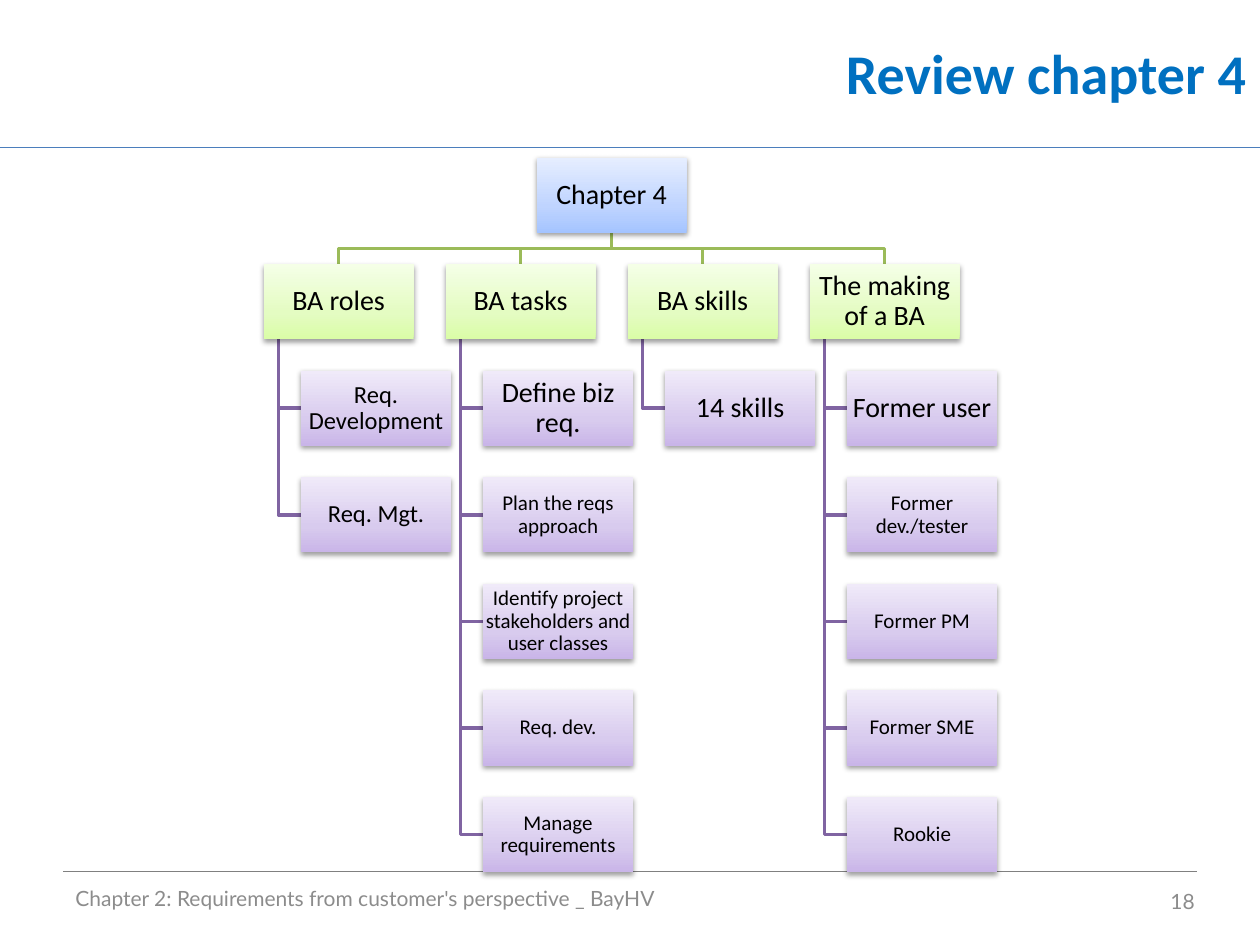
import copy
from dataclasses import dataclass

import lxml.etree
import pptx
import pptx.dml.color
import pptx.enum.shapes
import pptx.enum.text
import pptx.oxml.ns
import pptx.util

Pt = pptx.util.Pt
qn = pptx.oxml.ns.qn
ALIGN = pptx.enum.text.PP_ALIGN
MIDDLE = pptx.enum.text.MSO_ANCHOR.MIDDLE

# Lengths in points
BOX_W, BOX_H = 85.8, 43
COLUMN_STEP, ROW_STEP = 104, 60.9
TREE_LEFT, TREE_TOP = 150.6, 90
TRUNK_INSET, CHILD_INDENT = 8.6, 21.4

# Gradient colours from bottom to top
STOPS = (0, 0.35, 1)
BLUE = ("A4C4FF", "BFD4FF", "E6EEFF")
GREEN = ("DAFDA7", "E4FCC2", "F5FFE7")
PURPLE = ("C9B5E8", "D8CBEE", "F0EAF9")
GREEN_LINE, PURPLE_LINE = "9BBB59", "8064A2"


@dataclass
class Topic:
    label: str
    size: int = 16


@dataclass
class Branch:
    heading: Topic
    children: list[Topic]


BRANCHES = [
    Branch(Topic("BA roles"), [Topic("Req. Development", 14), Topic("Req. Mgt.", 14)]),
    Branch(Topic("BA tasks"), [
        Topic("Define biz req."),
        Topic("Plan the reqs approach", 12),
        Topic("Identify project stakeholders and user classes", 12),
        Topic("Req. dev.", 12),
        Topic("Manage requirements", 12),
    ]),
    Branch(Topic("BA skills"), [Topic("14 skills")]),
    Branch(Topic("The making of a BA"), [
        Topic("Former user"),
        Topic("Former dev./tester", 12),
        Topic("Former PM", 12),
        Topic("Former SME", 12),
        Topic("Rookie", 12),
    ]),
]


def rgb(value: str) -> pptx.dml.color.RGBColor:
    return pptx.dml.color.RGBColor.from_string(value)


def write(shape, text: str, size: float, font: str, color: str, align, bold: bool = False) -> None:
    frame = shape.text_frame
    frame.text = text
    frame.word_wrap = True
    frame.vertical_anchor = MIDDLE
    paragraph = frame.paragraphs[0]
    paragraph.alignment = align
    run_font = paragraph.runs[0].font
    run_font.size, run_font.name, run_font.bold = Pt(size), font, bold
    run_font.color.rgb = rgb(color)


def add_text(slide, left: float, top: float, width: float, height: float,
             text: str, size: float, font: str, color: str, align, bold: bool = False) -> None:
    box = slide.shapes.add_textbox(Pt(left), Pt(top), Pt(width), Pt(height))
    write(box, text, size, font, color, align, bold)


def add_rule(slide, left: float, right: float, y: float, color: str) -> None:
    rule = slide.shapes.add_connector(
        pptx.enum.shapes.MSO_CONNECTOR.STRAIGHT, Pt(left), Pt(y), Pt(right), Pt(y))
    rule.line.color.rgb = rgb(color)
    rule.line.width = Pt(0.75)
    lxml.etree.SubElement(rule._element.spPr, qn("a:effectLst"))


def add_elbow(slide, points: list[tuple[float, float]], color: str) -> None:
    start, *rest = [(Pt(x), Pt(y)) for x, y in points]
    builder = slide.shapes.build_freeform(*start)
    builder.add_line_segments(rest, close=False)
    elbow = builder.convert_to_shape()
    elbow.fill.background()
    elbow.line.color.rgb = rgb(color)
    elbow.line.width = Pt(2)
    elbow.shadow.inherit = False


def add_soft_shadow(shape) -> None:
    shape.shadow.inherit = False
    effects = shape._element.spPr.find(qn("a:effectLst"))
    shadow = lxml.etree.SubElement(
        effects, qn("a:outerShdw"), blurRad=str(Pt(3.1)), dist=str(Pt(1.6)),
        dir="5400000", rotWithShape="0")
    black = lxml.etree.SubElement(shadow, qn("a:srgbClr"), val="000000")
    lxml.etree.SubElement(black, qn("a:alpha"), val="38000")


def add_topic(slide, topic: Topic, left: float, top: float, colors: tuple[str, ...]) -> None:
    box = slide.shapes.add_shape(
        pptx.enum.shapes.MSO_SHAPE.RECTANGLE, Pt(left), Pt(top), Pt(BOX_W), Pt(BOX_H))
    box.line.fill.background()
    box.fill.gradient()
    box.fill.gradient_angle = 90
    stop_list = box._element.spPr.find(".//" + qn("a:gsLst"))
    stop_list.append(copy.deepcopy(stop_list[-1]))
    for stop, position, color in zip(box.fill.gradient_stops, STOPS, colors):
        stop.position = position
        stop.color.rgb = rgb(color)
    add_soft_shadow(box)
    write(box, topic.label, topic.size, "Calibri", "000000", ALIGN.CENTER)
    frame = box.text_frame
    frame.margin_left = frame.margin_right = frame.margin_top = frame.margin_bottom = Pt(0.8)
    frame.paragraphs[0].line_spacing = 0.9


def row_top(row: int) -> float:
    return TREE_TOP + row * ROW_STEP


def add_tree(slide) -> None:
    root_left = TREE_LEFT + COLUMN_STEP * (len(BRANCHES) - 1) / 2
    root_x = root_left + BOX_W / 2
    root_bottom, heading_top = row_top(0) + BOX_H, row_top(1)
    fork_y = (root_bottom + heading_top) / 2
    columns = [(TREE_LEFT + i * COLUMN_STEP, branch) for i, branch in enumerate(BRANCHES)]

    # Lines lie behind all boxes
    for left, branch in columns:
        heading_x = left + BOX_W / 2
        add_elbow(slide, [(root_x, root_bottom), (root_x, fork_y),
                          (heading_x, fork_y), (heading_x, heading_top)], GREEN_LINE)
        trunk_x = left + TRUNK_INSET
        for row in range(2, 2 + len(branch.children)):
            child_y = row_top(row) + BOX_H / 2
            add_elbow(slide, [(trunk_x, heading_top + BOX_H), (trunk_x, child_y),
                              (left + CHILD_INDENT, child_y)], PURPLE_LINE)

    # Boxes
    add_topic(slide, Topic("Chapter 4"), root_left, row_top(0), BLUE)
    for left, branch in columns:
        add_topic(slide, branch.heading, left, heading_top, GREEN)
        for row, child in enumerate(branch.children, start=2):
            add_topic(slide, child, left + CHILD_INDENT, row_top(row), PURPLE)


def main() -> None:
    deck = pptx.Presentation()
    deck.slide_width, deck.slide_height = Pt(720), Pt(540)
    slide = deck.slides.add_slide(deck.slide_layouts[6])

    # Title and footer
    add_rule(slide, 0, 720, 84.2, "4B7EBC")
    add_rule(slide, 36, 684, 498, "808080")
    add_text(slide, 208.8, 0, 510.5, 82.8, "Review chapter 4", 32, "Calibri", "0070C0",
             ALIGN.RIGHT, bold=True)
    add_text(slide, 36, 499, 480, 28.8,
             "Chapter 2: Requirements from customer's perspective _ BayHV",
             12, "Lato", "8C8C8C", ALIGN.LEFT)
    add_text(slide, 522, 500.4, 167.8, 28.8, "18", 12, "Lato", "8C8C8C", ALIGN.RIGHT)

    # Topic tree
    add_tree(slide)
    deck.save("out.pptx")


if __name__ == "__main__":
    main()
